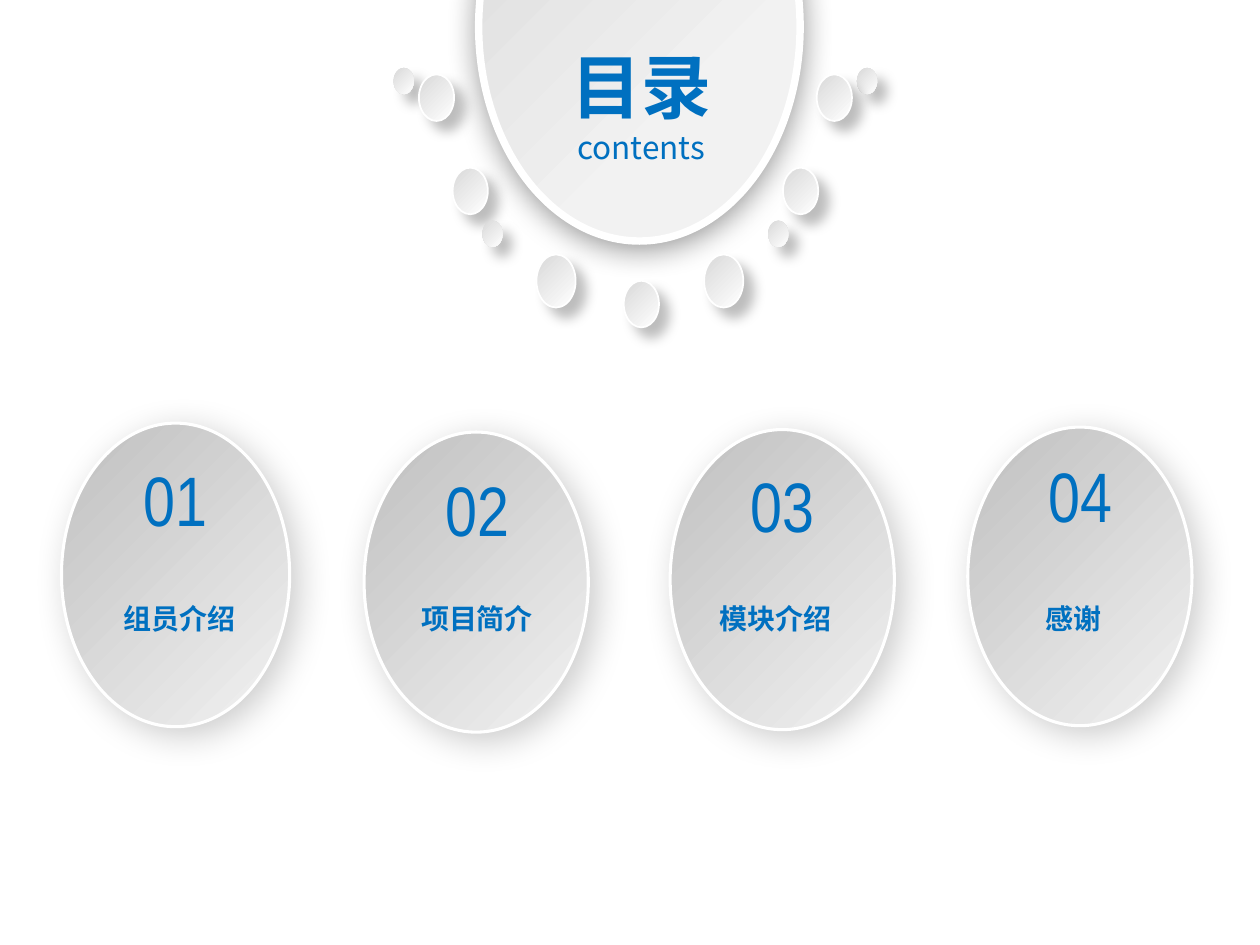
import lxml.etree
import pptx
import pptx.dml.color
import pptx.enum.shapes
import pptx.enum.text
import pptx.oxml.ns
import pptx.util

Cm = pptx.util.Cm
Pt = pptx.util.Pt
qn = pptx.oxml.ns.qn
CENTER = pptx.enum.text.PP_ALIGN.CENTER
LEFT = pptx.enum.text.PP_ALIGN.LEFT

COLORS = {
    "blue": "0070C0",
    "white": "FFFFFF",
    "black": "000000",
    "pale": "F2F2F2",
    "light": "D9D9D9",
    "gray": "BFBFBF",
}
CJK_FONT = "Noto Sans CJK SC"
CARD = {"stops": [(0, "gray"), (1, "pale")], "line": 1.75, "shadow": (20, 20, 6, 45)}
HUB = {"stops": [(0.31, "pale"), (1, "light")], "line": 4.25, "shadow": (40, 17, 3, 90), "radial": True}
DOT = {"stops": [(0, "light"), (1, "white")], "line": 1, "shadow": (25, 7, 8, 45)}
TINY_DOT = {**DOT, "line": 0}

NUMBER = {"size": Pt(40), "name": "Arial Narrow", "bold": False}
LABEL = {"size": Pt(16), "name": "Arial", "bold": True}
HEADING = {"size": Pt(40), "name": CJK_FONT, "bold": True}
SUBHEADING = {"size": Pt(18), "name": CJK_FONT, "bold": False}


def rgb(name):
    return pptx.dml.color.RGBColor.from_string(COLORS[name])


def add_xml(parent, tag, **attributes):
    return lxml.etree.SubElement(parent, qn(tag), {key: str(value) for key, value in attributes.items()})


class SlideBuilder:
    def __init__(self, presentation):
        self.slide = presentation.slides.add_slide(presentation.slide_layouts[5])

    def ellipse(self, box, style):
        shape = self.slide.shapes.add_shape(
            pptx.enum.shapes.MSO_SHAPE.OVAL, *[Cm(value) for value in box])
        shape.fill.gradient()
        for stop, (position, color) in zip(shape.fill.gradient_stops, style["stops"]):
            stop.position = position
            stop.color.rgb = rgb(color)
        if style.get("radial"):
            gradient = shape._element.spPr.find(qn("a:gradFill"))
            gradient.remove(gradient.find(qn("a:lin")))
            radial = add_xml(gradient, "a:path")
            radial.set("path", "circle")
            add_xml(radial, "a:fillToRect", l=100000, t=100000)
        else:
            shape.fill.gradient_angle = 315
        if style["line"]:
            shape.line.color.rgb = rgb("white")
            shape.line.width = Pt(style["line"])
        else:
            shape.line.fill.background()
        self.shadow(shape, *style["shadow"])

    def shadow(self, shape, opacity, blur, distance, angle):
        shape.shadow.inherit = False
        effects = shape._element.spPr.find(qn("a:effectLst"))
        outer = add_xml(effects, "a:outerShdw", blurRad=Pt(blur), dist=Pt(distance),
                        dir=angle * 60000, algn="ctr", rotWithShape=0)
        color = add_xml(outer, "a:srgbClr", val=COLORS["black"])
        add_xml(color, "a:alpha", val=opacity * 1000)

    def styled_run(self, paragraph, text, font_format, alignment=CENTER):
        paragraph.alignment = alignment
        run = paragraph.add_run()
        run.text = text
        for name, value in font_format.items():
            setattr(run.font, name, value)
        run.font.color.rgb = rgb("blue")
        add_xml(run._r.get_or_add_rPr(), "a:ea", typeface=CJK_FONT)

    def text(self, box, text, font_format, alignment=CENTER, spacing=None, insets=(0.25, 0.13)):
        shape = self.slide.shapes.add_textbox(*[Cm(value) for value in box])
        frame = shape.text_frame
        side, end = insets
        frame_format = {
            "word_wrap": True,
            "margin_left": Cm(side), "margin_right": Cm(side),
            "margin_top": Cm(end), "margin_bottom": Cm(end),
        }
        for name, value in frame_format.items():
            setattr(frame, name, value)
        paragraph = frame.paragraphs[0]
        paragraph.line_spacing = spacing
        self.styled_run(paragraph, text, font_format, alignment)

    def title(self, box, lines):
        shape = self.slide.shapes.title
        for name, value in zip(("left", "top", "width", "height"), box):
            setattr(shape, name, Cm(value))
        frame = shape.text_frame
        frame_format = {
            "word_wrap": False,
            "auto_size": pptx.enum.text.MSO_AUTO_SIZE.NONE,
            "vertical_anchor": pptx.enum.text.MSO_ANCHOR.TOP,
        }
        for name, value in frame_format.items():
            setattr(frame, name, value)
        for index, (text, font_format) in enumerate(lines):
            paragraph = frame.add_paragraph() if index else frame.paragraphs[0]
            paragraph.space_before = Pt(0)
            self.styled_run(paragraph, text, font_format)
        self.slide.shapes._spTree.append(shape._element)

    def card(self, number, label, oval, number_box, label_left):
        self.ellipse(oval, CARD)
        self.text(number_box, number, NUMBER)
        self.text((label_left, 11.86, 3.78, 0.97), label, LABEL, LEFT, Pt(24), (0.18, 0.1))

    def dot(self, center, top, size, style):
        width, height = size
        self.ellipse((center - width / 2, top, width, height), style)


def main():
    presentation = pptx.Presentation()
    presentation.slide_width = Cm(25.4)
    presentation.slide_height = Cm(19.05)
    builder = SlideBuilder(presentation)

    cards = [
        ("01", "组员介绍", (1.24, 8.53, 4.6, 6.12), (2.59, 9.07, 1.9, 1.96), 2.31),
        ("02", "项目简介", (7.34, 8.71, 4.52, 6.05), (8.59, 9.27, 2.08, 1.96), 8.31),
        ("03", "模块介绍", (13.51, 8.66, 4.52, 6.05), (14.73, 9.19, 2.08, 1.96), 14.33),
        ("04", "感谢", (19.51, 8.61, 4.52, 6.02), (20.65, 8.99, 2.26, 1.96), 20.9),
    ]
    for card in cards:
        builder.card(*card)

    builder.ellipse((9.65, -3.78, 6.48, 8.64), HUB)
    builder.title((11.25, 0.76, 3.35, 2.74), [("目录", HEADING), ("contents", SUBHEADING)])

    tiny, medium, large = (0.41, 0.53), (0.71, 0.94), (0.79, 1.07)
    mirrored_dots = [
        (12.81, 4.67, 1.37, tiny, TINY_DOT),
        (12.81, 3.33, 3.38, medium, DOT),
        (12.81, 2.88, 4.45, tiny, TINY_DOT),
        (12.9, 1.69, 5.13, large, DOT),
        (12.81, 4.01, 1.5, medium, DOT),
    ]
    for axis, offset, top, size, style in mirrored_dots:
        for side in (-1, 1):
            builder.dot(axis + side * offset, top, size, style)
    builder.dot(12.93, 5.66, medium, DOT)

    presentation.save("out.pptx")


if __name__ == "__main__":
    main()
